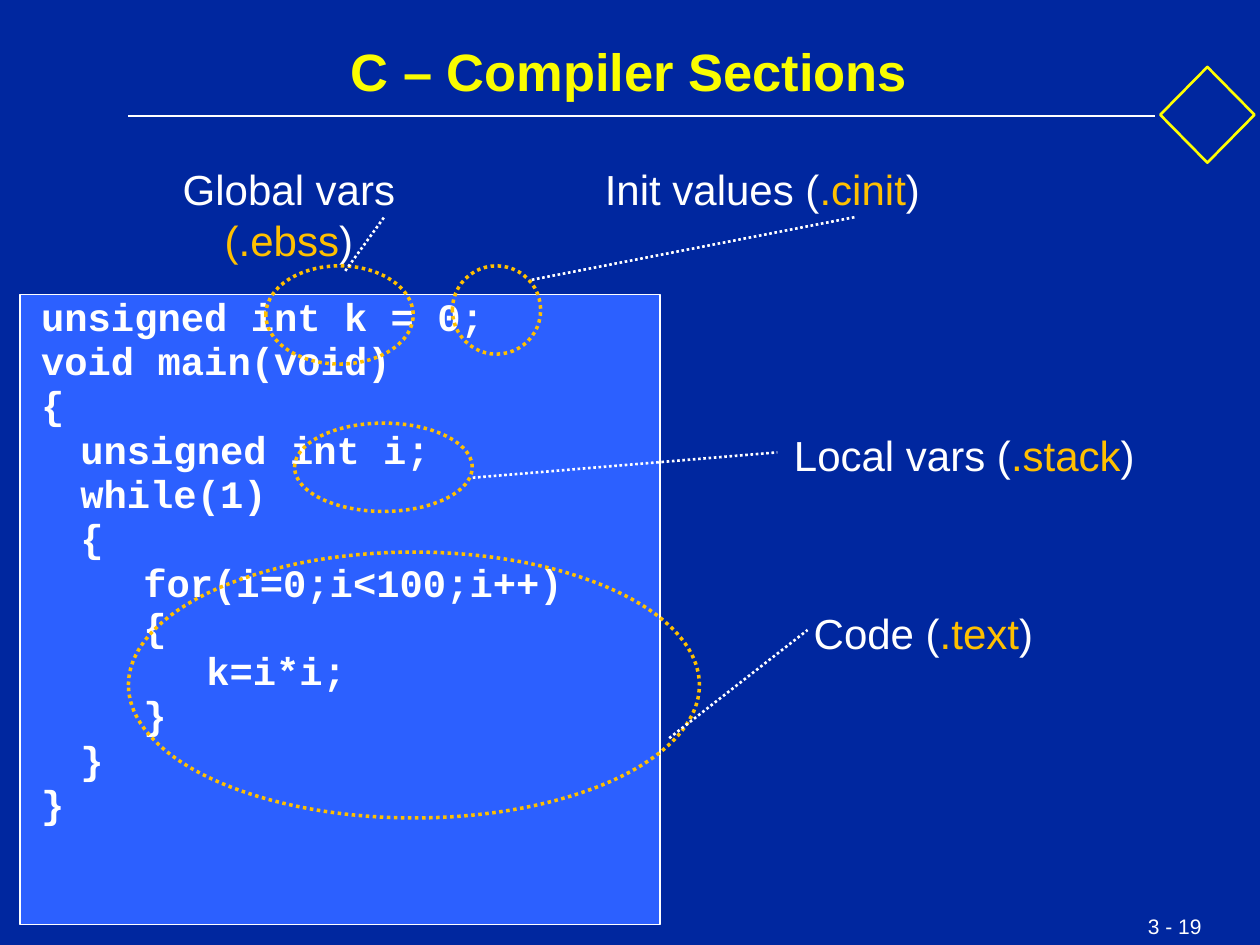
from dataclasses import dataclass

from lxml import etree
from pptx import Presentation
from pptx.dml.color import RGBColor
from pptx.enum.dml import MSO_LINE
from pptx.enum.shapes import MSO_CONNECTOR, MSO_SHAPE
from pptx.enum.text import MSO_ANCHOR, MSO_AUTO_SIZE, PP_ALIGN
from pptx.oxml.ns import qn
from pptx.util import Cm, Pt

DOTS = MSO_LINE.ROUND_DOT
STRAIGHT = MSO_CONNECTOR.STRAIGHT
RECT, OVAL, DIAMOND = MSO_SHAPE.RECTANGLE, MSO_SHAPE.OVAL, MSO_SHAPE.DIAMOND
CENTER, LEFT = PP_ALIGN.CENTER, PP_ALIGN.LEFT
TOP = MSO_ANCHOR.TOP
FIXED = MSO_AUTO_SIZE.NONE


@dataclass(frozen=True)
class Theme:
    back: RGBColor = RGBColor.from_string("00279F")
    panel: RGBColor = RGBColor.from_string("2C60FF")
    white: RGBColor = RGBColor.from_string("FFFFFF")
    title: RGBColor = RGBColor.from_string("FAFD00")
    mark: RGBColor = RGBColor.from_string("FFFF00")
    gold: RGBColor = RGBColor.from_string("FFC000")
    sans: str = "Arial"
    mono: str = "Courier New"
    title_pt: float = 30
    label_pt: float = 24
    code_pt: float = 22.2
    page_pt: float = 12


THEME = Theme()

# Each code line: depth in tabs, text
CODE = [
    (0, "unsigned int k = 0;"),
    (0, "void main(void)"),
    (0, "{"),
    (1, "unsigned int i;"),
    (1, "while(1)"),
    (1, "{"),
    (2, "for(i=0;i<100;i++)"),
    (2, "{"),
    (3, "k=i*i;"),
    (2, "}"),
    (1, "}"),
    (0, "}"),
]

# Each callout: label parts, label box, ring box, leader ends (all in cm)
CALLOUTS = [
    (("Global vars ", "(.ebss", ")"), (2.03, 3.18, 7.59, 1.27),
     (5.36, 5.36, 2.97, 1.98), (6.96, 5.46, 7.75, 4.37)),
    (("Init values (", ".cinit", ")"), (11.94, 3.18, 6.86, 1.27),
     (9.12, 5.36, 1.78, 1.78), (10.72, 5.64, 17.27, 4.37)),
    (("Code (", ".text", ")"), (15.54, 12.12, 6.15, 1.27),
     (2.59, 11.13, 11.51, 5.36), (13.49, 14.88, 16.28, 12.7)),
    (("Local vars (", ".stack", ")"), (14.88, 8.53, 9.12, 1.27),
     (5.94, 8.53, 3.58, 1.78), (9.53, 9.63, 15.67, 9.12)),
]


def to_cm(box):
    return [Cm(value) for value in box]


def style(font, name, size, color, bold=False):
    font.name, font.size, font.bold = name, Pt(size), bold
    font.color.rgb = color


def add_line(slide, ends, width, dash=None):
    line = slide.shapes.add_connector(STRAIGHT, *to_cm(ends))
    line.line.color.rgb = THEME.white
    line.line.width = Pt(width)
    if dash:
        line.line.dash_style = dash
    etree.SubElement(line._element.spPr, qn("a:effectLst"))


def add_form(slide, kind, box, color, width, fill=None, dash=None):
    form = slide.shapes.add_shape(kind, *to_cm(box))
    form.shadow.inherit = False
    if fill is None:
        form.fill.background()
    else:
        form.fill.solid()
        form.fill.fore_color.rgb = fill
    form.line.color.rgb = color
    form.line.width = Pt(width)
    if dash:
        form.line.dash_style = dash


def add_text(slide, box, parts, size, align):
    frame = slide.shapes.add_textbox(*to_cm(box)).text_frame
    frame.word_wrap = True
    para = frame.paragraphs[0]
    para.alignment = align
    # Every second part is the section name, in gold
    for index, part in enumerate(parts):
        run = para.add_run()
        run.text = part
        color = THEME.gold if index % 2 else THEME.white
        style(run.font, THEME.sans, size, color)


def add_title(slide, text):
    title = slide.shapes.title
    title.left, title.top, title.width, title.height = to_cm(
        (0.58, 0.79, 24.21, 1.85))
    frame = title.text_frame
    frame.text = text
    frame.auto_size = FIXED
    frame.vertical_anchor = TOP
    frame.margin_left = frame.margin_right = 0
    frame.margin_top = frame.margin_bottom = 0
    para = frame.paragraphs[0]
    para.alignment = CENTER
    style(para.runs[0].font, THEME.sans, THEME.title_pt, THEME.title, True)


def set_tabs(para):
    props = para._p.get_or_add_pPr()
    props.set("marL", str(Cm(0.79)))
    props.set("indent", str(-Cm(0.79)))
    tabs = etree.SubElement(props, qn("a:tabLst"))
    for stop in range(4):
        etree.SubElement(tabs, qn("a:tab"), pos=str(Cm(2.54 * stop)), algn="l")


def add_code(slide, box, lines):
    frame = slide.shapes.add_textbox(*to_cm(box)).text_frame
    frame.word_wrap = True
    frame.text = "\n".join("\t" * depth + text for depth, text in lines)
    for para in frame.paragraphs:
        set_tabs(para)
        para.line_spacing = 0.95
        for run in para.runs:
            style(run.font, THEME.mono, THEME.code_pt, THEME.white, True)


def add_callout(slide, parts, label, ring, ends):
    add_text(slide, label, parts, THEME.label_pt, CENTER)
    add_form(slide, OVAL, ring, THEME.gold, 2, dash=DOTS)
    add_line(slide, ends, 1.5, DOTS)


def main():
    deck = Presentation()
    deck.slide_width, deck.slide_height = Cm(25.4), Cm(19.05)
    slide = deck.slides.add_slide(deck.slide_layouts[5])
    slide.background.fill.solid()
    slide.background.fill.fore_color.rgb = THEME.back

    # Header and page number
    add_line(slide, (2.59, 2.34, 23.29, 2.34), 1)
    add_form(slide, DIAMOND, (23.39, 1.35, 1.9, 1.93), THEME.mark, 1.5)
    add_title(slide, "C – Compiler Sections")
    add_text(slide, (22.89, 18.29, 2.4, 0.76), ["3 - 19"], THEME.page_pt, LEFT)

    # Code panel
    add_form(slide, RECT, (0.41, 5.94, 12.9, 12.7), THEME.white, 1, THEME.panel)
    add_code(slide, (0.58, 5.84, 24.21, 12.29), CODE)

    # Callouts from code to memory sections
    for callout in CALLOUTS:
        add_callout(slide, *callout)

    deck.save("out.pptx")


if __name__ == "__main__":
    main()
